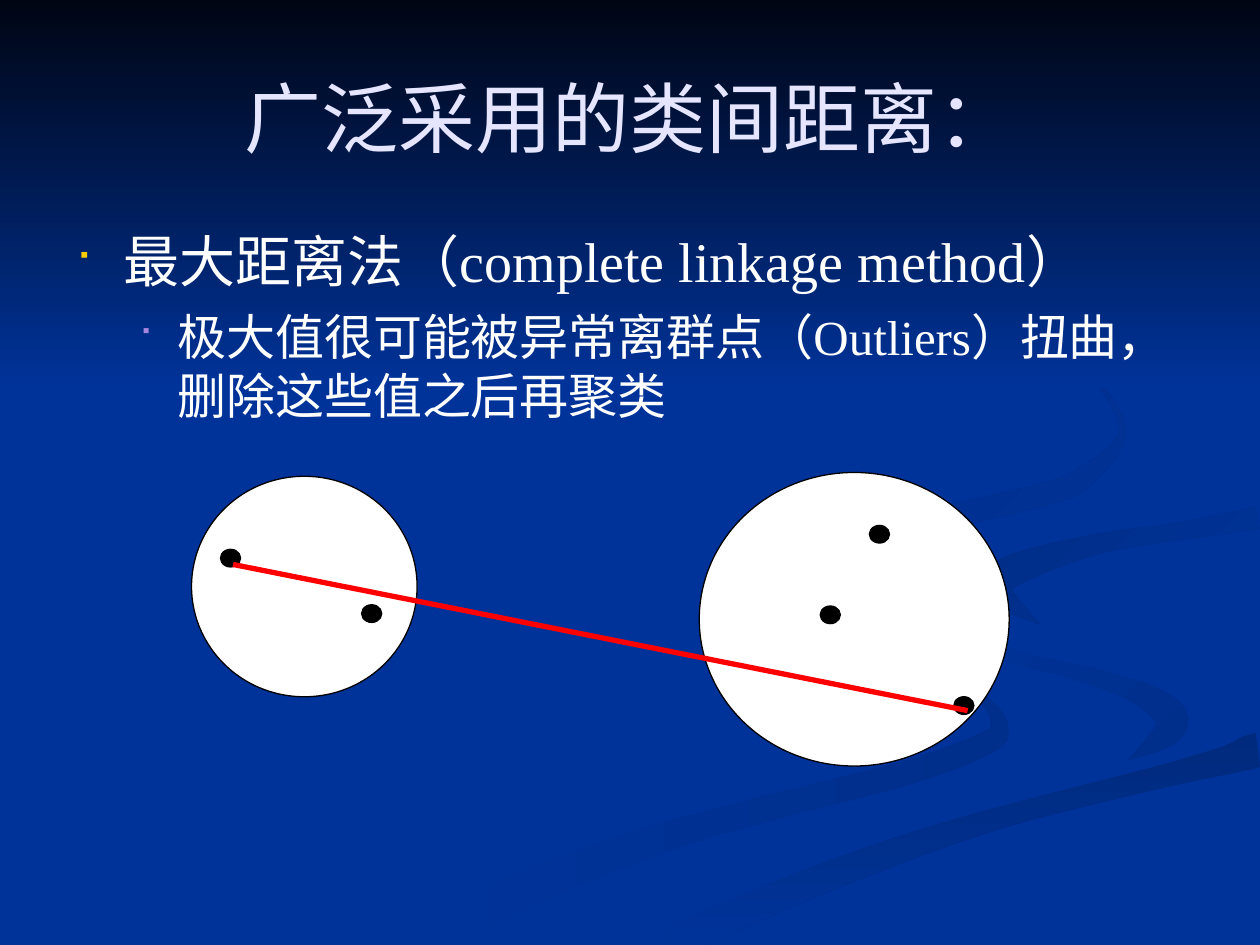
"""Build a slide on the complete linkage distance between two clusters."""
from math import hypot
from lxml.etree import SubElement
from pptx import Presentation
from pptx.dml.color import RGBColor
from pptx.enum.shapes import MSO_CONNECTOR, MSO_SHAPE
from pptx.enum.text import MSO_ANCHOR, PP_ALIGN
from pptx.oxml.ns import qn
from pptx.util import Inches, Pt

BLUE = RGBColor(0x00, 0x33, 0x99)
NIGHT = RGBColor(0x00, 0x05, 0x14)
RIBBON_EDGE = RGBColor(0x00, 0x2E, 0x8B)
RIBBON_DARK = RGBColor(0x00, 0x2A, 0x7D)
RIBBON_MID = RGBColor(0x00, 0x2D, 0x86)
RIBBON_TOP = RGBColor(0x00, 0x2B, 0x82)
LAVENDER = RGBColor(0xE5, 0xE5, 0xFF)
PURPLE = RGBColor(0xA8, 0x86, 0xE0)
GOLD = RGBColor(0xFF, 0xCC, 0x00)
WHITE = RGBColor(0xFF, 0xFF, 0xFF)
BLACK = RGBColor(0x00, 0x00, 0x00)
RED = RGBColor(0xFF, 0x00, 0x00)
FONT = "Times New Roman"
SLIDE_WIDTH, SLIDE_HEIGHT = 10, 7.5
STEPS_PER_KNOT = 6
MEMBER_WIDTH, MEMBER_HEIGHT = 0.16, 0.14


def ribbon_outline(spine):
    """Widen a smooth curve through (x, y, width) knots into a closed outline."""
    knots = [spine[0], *spine, spine[-1]]
    left_edge, right_edge = [], []
    for before, start, end, after in zip(knots, knots[1:], knots[2:], knots[3:]):
        for step in range(STEPS_PER_KNOT + 1):
            t = step / STEPS_PER_KNOT
            position, slope = [], []
            for p0, p1, p2, p3 in zip(before, start, end, after):
                linear = (p2 - p0) / 2
                square = p0 - 2.5 * p1 + 2 * p2 - p3 / 2
                cube = (p3 - p0) / 2 + 1.5 * (p1 - p2)
                position.append(p1 + t * (linear + t * (square + t * cube)))
                slope.append(linear + t * (2 * square + 3 * t * cube))
            x, y, width = position
            reach = max(width, 0) / 2 / hypot(slope[0], slope[1])
            for edge, side in ((left_edge, reach), (right_edge, -reach)):
                edge.append((min(x + side * slope[1], SLIDE_WIDTH),
                             min(y - side * slope[0], SLIDE_HEIGHT)))
    return left_edge + right_edge[::-1]


def add_text(paragraph, text, size, color):
    run = paragraph.add_run()
    run.text = text
    run.font.size = Pt(size)
    run.font.name = FONT
    run.font.color.rgb = color


prs = Presentation()
prs.slide_width, prs.slide_height = Inches(SLIDE_WIDTH), Inches(SLIDE_HEIGHT)
slide = prs.slides.add_slide(prs.slide_layouts[6])
slide.background.fill.solid()
slide.background.fill.fore_color.rgb = BLUE

lower_left_spine = [
    (5.75, 4.59, 0), (5.73, 4.7, 0.04), (6.12, 4.97, 0.04), (6.8, 5.19, 0.03),
    (7.43, 5.38, 0.04), (7.8, 5.55, 0.06), (7.93, 5.76, 0.14), (7.82, 5.9, 0.18),
    (7.17, 6.14, 0.19), (5.88, 6.47, 0.21), (4.93, 6.76, 0.25), (3.86, 7.19, 0.3),
    (3.28, 7.5, 0.34)]
right_curl_spine = [
    (7.24, 4.64, 0), (7.4, 4.88, 0.05), (7.87, 5.14, 0.12), (8.68, 5.37, 0.14),
    (9.12, 5.54, 0.2), (9.3, 5.76, 0.25), (8.94, 6.05, 0)]
lower_right_spine = [
    (10, 5.95, 0.28), (9.03, 6.2, 0.19), (7.74, 6.54, 0.19), (6.3, 7.06, 0.24),
    (5.3, 7.5, 0.28)]
broad_spine = [
    (9.99, 3.95, 0.15), (8.7, 4.16, 0.16), (7.95, 4.33, 0.25), (7.53, 4.64, 0.5),
    (8.05, 5, 0.3), (8.78, 5.22, 0.2), (9.6, 5.45, 0.3), (9.71, 5.65, 0.5),
    (9.4, 5.94, 0.15), (8.98, 6.08, 0.1), (7.46, 6.48, 0.1), (6.22, 6.9, 0.12),
    (4.9, 7.46, 0.12)]
right_hook_spine = [
    (9.98, 4.11, 0.18), (9.34, 4.22, 0.14), (8.7, 4.32, 0.16), (8.03, 4.53, 0.25),
    (7.93, 4.7, 0.22), (8.26, 4.96, 0)]
upper_spine = [
    (7.62, 2.33, 0), (8.44, 2.77, 0.03), (8.91, 3.38, 0.05), (8.6, 3.79, 0.16),
    (8.22, 3.94, 0.18), (7.36, 4.13, 0.18), (6.8, 4.22, 0.17), (6.2, 4.37, 0.17),
    (5.85, 4.66, 0.16), (6.22, 5, 0)]
night_sky = [(0, 0), (0, 3.08), (SLIDE_WIDTH, 3.08), (SLIDE_WIDTH, 0)]

for outline, start_color, end_color, angle in [
        (ribbon_outline(lower_left_spine), BLUE, RIBBON_EDGE, 0),
        (ribbon_outline(right_curl_spine), BLUE, RIBBON_EDGE, 45),
        (ribbon_outline(lower_right_spine), RIBBON_DARK, BLUE, 90),
        (ribbon_outline(broad_spine), BLUE, BLUE, 0),
        (ribbon_outline(right_hook_spine), RIBBON_MID, BLUE, 45),
        (ribbon_outline(upper_spine), RIBBON_TOP, BLUE, 45),
        (night_sky, NIGHT, BLUE, 90)]:
    points = [(Inches(x), Inches(y)) for x, y in outline]
    builder = slide.shapes.build_freeform(*points[0])
    builder.add_line_segments(points[1:], close=True)
    backdrop = builder.convert_to_shape()
    backdrop.shadow.inherit = False
    backdrop.line.fill.background()
    if start_color == end_color:
        backdrop.fill.solid()
        backdrop.fill.fore_color.rgb = start_color
    else:
        backdrop.fill.gradient()
        backdrop.fill.gradient_angle = -angle % 360
        for stop, color in zip(backdrop.fill.gradient_stops, (start_color, end_color)):
            stop.color.rgb = color

title = slide.shapes.add_textbox(Inches(0.5), Inches(0.3), Inches(9), Inches(1.25)).text_frame
title.word_wrap = True
title.vertical_anchor = MSO_ANCHOR.MIDDLE
title.paragraphs[0].alignment = PP_ALIGN.CENTER
add_text(title.paragraphs[0], "广泛采用的类间距离：", 44, LAVENDER)

body = slide.shapes.add_textbox(Inches(0.5), Inches(1.75), Inches(9), Inches(4.95)).text_frame
body.word_wrap = True
method, caveat = body.paragraphs[0], body.add_paragraph()
caveat.level = 1
caveat.space_before = Pt(7)
for point, text, size, margin, hanging, bullet_color in [
        (method, "最大距离法（complete linkage method）", 32, 0.38, 0.38, GOLD),
        (caveat, "极大值很可能被异常离群点（Outliers）扭曲，删除这些值之后再聚类", 28, 0.81, 0.31, PURPLE)]:
    properties = point._p.get_or_add_pPr()
    properties.set("marL", str(Inches(margin)))
    properties.set("indent", str(-Inches(hanging)))
    properties.set("hangingPunct", "0")
    bullet_fill = SubElement(properties, qn("a:buClr"))
    SubElement(bullet_fill, qn("a:srgbClr"), val=str(bullet_color))
    SubElement(properties, qn("a:buSzPct"), val="70000")
    SubElement(properties, qn("a:buFont"), typeface="Wingdings")
    SubElement(properties, qn("a:buChar"), char="■")
    add_text(point, text, size, WHITE)

clusters = [(1.52, 3.78, 1.79, 1.75), (5.55, 3.75, 2.46, 2.33)]
members = [(x, y, MEMBER_WIDTH, MEMBER_HEIGHT) for x, y in
           [(1.75, 4.36), (2.87, 4.8), (7.57, 5.53), (6.51, 4.81), (6.9, 4.17)]]
for color, ovals in [(WHITE, clusters), (BLACK, members)]:
    for bounds in ovals:
        oval = slide.shapes.add_shape(MSO_SHAPE.OVAL, *map(Inches, bounds))
        oval.shadow.inherit = False
        oval.fill.solid()
        oval.fill.fore_color.rgb = color
        oval.line.color.rgb = BLACK
        oval.line.width = Pt(0.75)

farthest_distance = slide.shapes.add_connector(
    MSO_CONNECTOR.STRAIGHT, Inches(1.85), Inches(4.48), Inches(7.68), Inches(5.64))
farthest_distance.line.color.rgb = RED
farthest_distance.line.width = Pt(3)
SubElement(farthest_distance._element.spPr, qn("a:effectLst"))

prs.save("out.pptx")
